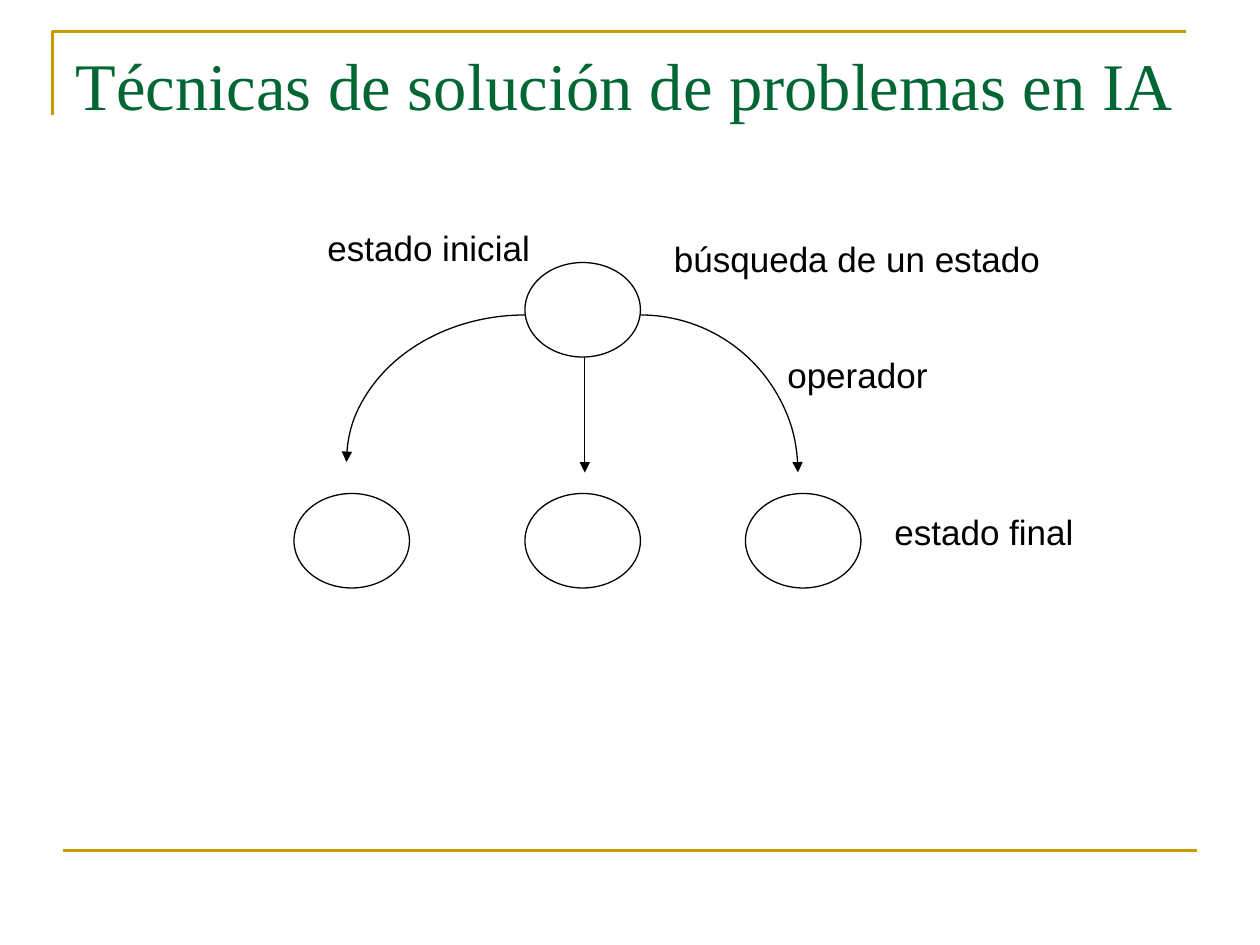
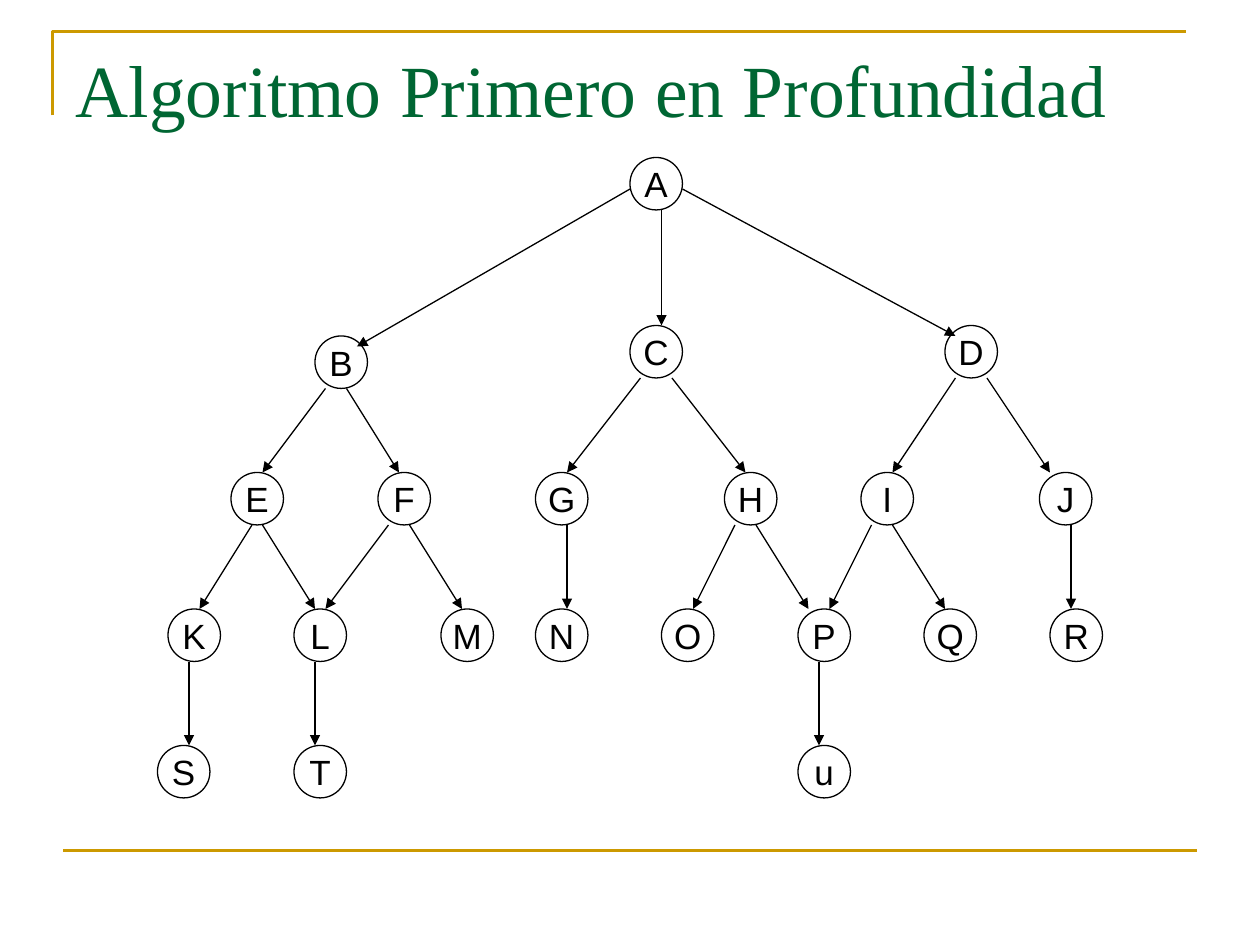
from typing import NamedTuple

from lxml.etree import SubElement
from pptx import Presentation
from pptx.dml.color import RGBColor
from pptx.enum.shapes import MSO_CONNECTOR as Connector, MSO_SHAPE as Shape
from pptx.enum.text import MSO_ANCHOR as Anchor, MSO_AUTO_SIZE as AutoSize, PP_ALIGN as Align
from pptx.oxml.ns import qn
from pptx.util import Emu, Pt

PX = 7620  # EMU in one px, 120 px to the inch
COLORS = {"gold": "CC9900", "green": "006633", "black": "000000", "white": "FFFFFF"}
TITLE_FONT, BODY_FONT = "Times New Roman", "Arial"
TITLE_ONLY = 5
NODE_SIZE = 50


class Label(NamedTuple):
    text: str
    left: int
    top: int
    width: int


class Arc(NamedTuple):
    left: int
    top: int
    width: int
    height: int
    start: int  # degrees, clockwise from the right
    end: int
    arrow: str


class Level(NamedTuple):
    top: int
    lefts: dict[str, int]


class Edge(NamedTuple):
    parent: str
    child: str
    start_x: int  # offsets from the corner of each node
    end_x: int
    start_y: int = NODE_SIZE
    end_y: int = 0


STATE_SIZE = (110, 90)
STATES = [(500, 250), (710, 470), (500, 470), (280, 470)]
ARCS = [
    Arc(330, 300, 340, 280, 180, 270, "headEnd"),
    Arc(460, 300, 300, 300, 270, 0, "tailEnd"),
]
LABELS = [
    Label("búsqueda de un estado", 630, 220, 377),
    Label("estado inicial", 300, 210, 221),
    Label("operador", 738, 331, 162),
    Label("estado final", 840, 480, 199),
]
LEVELS = [
    Level(150, {"A": 600}),
    Level(320, {"B": 300}),
    Level(310, {"C": 600, "D": 900}),
    Level(450, {"E": 220, "F": 360, "G": 510, "H": 690, "I": 820, "J": 990}),
    Level(580, {"K": 160, "L": 280, "M": 420, "N": 510,
                "O": 630, "P": 760, "Q": 880, "R": 1000}),
    Level(710, {"S": 150, "T": 280, "u": 760}),
]
EDGES = [
    Edge("A", "B", 0, 40, 30, 10), Edge("A", "C", 30, 30), Edge("A", "D", 50, 10, 30, 10),
    Edge("B", "E", 10, 30), Edge("B", "F", 30, 20),
    Edge("C", "G", 10, 30), Edge("C", "H", 40, 20),
    Edge("D", "I", 10, 30), Edge("D", "J", 40, 10),
    Edge("E", "K", 20, 30), Edge("E", "L", 30, 20),
    Edge("F", "L", 10, 30), Edge("F", "M", 30, 20),
    Edge("G", "N", 30, 30),
    Edge("H", "O", 10, 30), Edge("H", "P", 30, 10),
    Edge("I", "P", 10, 30), Edge("I", "Q", 30, 20),
    Edge("J", "R", 30, 20),
    Edge("K", "S", 20, 30), Edge("L", "T", 20, 20), Edge("P", "u", 20, 20),
]


def px(*lengths: int) -> list[Emu]:
    return [Emu(length * PX) for length in lengths]


def rgb(name: str) -> RGBColor:
    return RGBColor.from_string(COLORS[name])


def write_text(frame, text: str, *, size: int = 20, font: str = BODY_FONT, color: str = "black",
               align=Align.LEFT, anchor=Anchor.TOP, wrap: bool = False,
               auto_size=AutoSize.NONE) -> None:
    frame.word_wrap = wrap
    frame.auto_size = auto_size
    frame.vertical_anchor = anchor
    para = frame.paragraphs[0]
    para.alignment = align
    span = para.add_run()
    span.text = text
    span.font.size = Pt(size)
    span.font.name = font
    span.font.color.rgb = rgb(color)


def set_line(shape, color: str = "black", width: float = 0.75, arrow: str = "") -> None:
    shape.line.color.rgb = rgb(color)
    shape.line.width = Pt(width)
    if arrow:
        SubElement(shape.line._get_or_add_ln(), qn(f"a:{arrow}"), type="triangle")


def add_line(page, start: tuple[int, int], end: tuple[int, int], **line_format) -> None:
    line = page.shapes.add_connector(Connector.STRAIGHT, *px(*start, *end))
    set_line(line, **line_format)
    SubElement(line._element.spPr, qn("a:effectLst"))


def add_outline(page, kind, box: tuple[int, int, int, int], fill: str = "", arrow: str = ""):
    shape = page.shapes.add_shape(kind, *px(*box))
    shape.shadow.inherit = False
    if fill:
        shape.fill.solid()
        shape.fill.fore_color.rgb = rgb(fill)
    else:
        shape.fill.background()
    set_line(shape, arrow=arrow)
    return shape


def add_page(deck, title: str, size: int):
    page = deck.slides.add_slide(deck.slide_layouts[TITLE_ONLY])

    # Gold corner and bottom rule
    builder = page.shapes.build_freeform(50, 110, scale=PX)
    builder.add_line_segments([(50, 30), (1130, 30)], close=False)
    corner = builder.convert_to_shape()
    corner.shadow.inherit = False
    corner.fill.background()
    set_line(corner, "gold", 1.5)
    add_line(page, (60, 810), (1140, 810), color="gold", width=1.5)

    # Title
    box = page.shapes.title
    box.left, box.top, box.width, box.height = px(60, 36, 1080, 150)
    write_text(box.text_frame, title, size=size, font=TITLE_FONT, color="green", wrap=True)
    return page


def build_search_page(deck) -> None:
    page = add_page(deck, "Técnicas de solución de problemas en IA", 38)

    # States
    for corner in STATES:
        add_outline(page, Shape.OVAL, (*corner, *STATE_SIZE))

    # Operators
    for arc in ARCS:
        curve = add_outline(page, Shape.ARC, arc[:4], arrow=arc.arrow)
        for index, degrees in enumerate((arc.start, arc.end)):
            curve.adjustments[index] = degrees * 0.6  # 60000 units a degree
    add_line(page, (557, 340), (557, 450), arrow="tailEnd")

    # Labels, each on one line
    for label in LABELS:
        box = page.shapes.add_textbox(*px(label.left, label.top, label.width, 53))
        write_text(box.text_frame, label.text, auto_size=AutoSize.SHAPE_TO_FIT_TEXT)


def build_tree_page(deck) -> None:
    page = add_page(deck, "Algoritmo Primero en Profundidad", 42)

    # Nodes
    corners = {name: (left, level.top) for level in LEVELS for name, left in level.lefts.items()}
    for name, corner in corners.items():
        node = add_outline(page, Shape.OVAL, (*corner, NODE_SIZE, NODE_SIZE), fill="white")
        write_text(node.text_frame, name, align=Align.CENTER, anchor=Anchor.MIDDLE)

    # Edges
    for edge in EDGES:
        (start_left, start_top), (end_left, end_top) = corners[edge.parent], corners[edge.child]
        add_line(page, (start_left + edge.start_x, start_top + edge.start_y),
                 (end_left + edge.end_x, end_top + edge.end_y), arrow="tailEnd")


def main() -> None:
    deck = Presentation()
    deck.slide_width, deck.slide_height = px(1200, 900)
    build_search_page(deck)
    build_tree_page(deck)
    deck.save("out.pptx")


if __name__ == "__main__":
    main()
